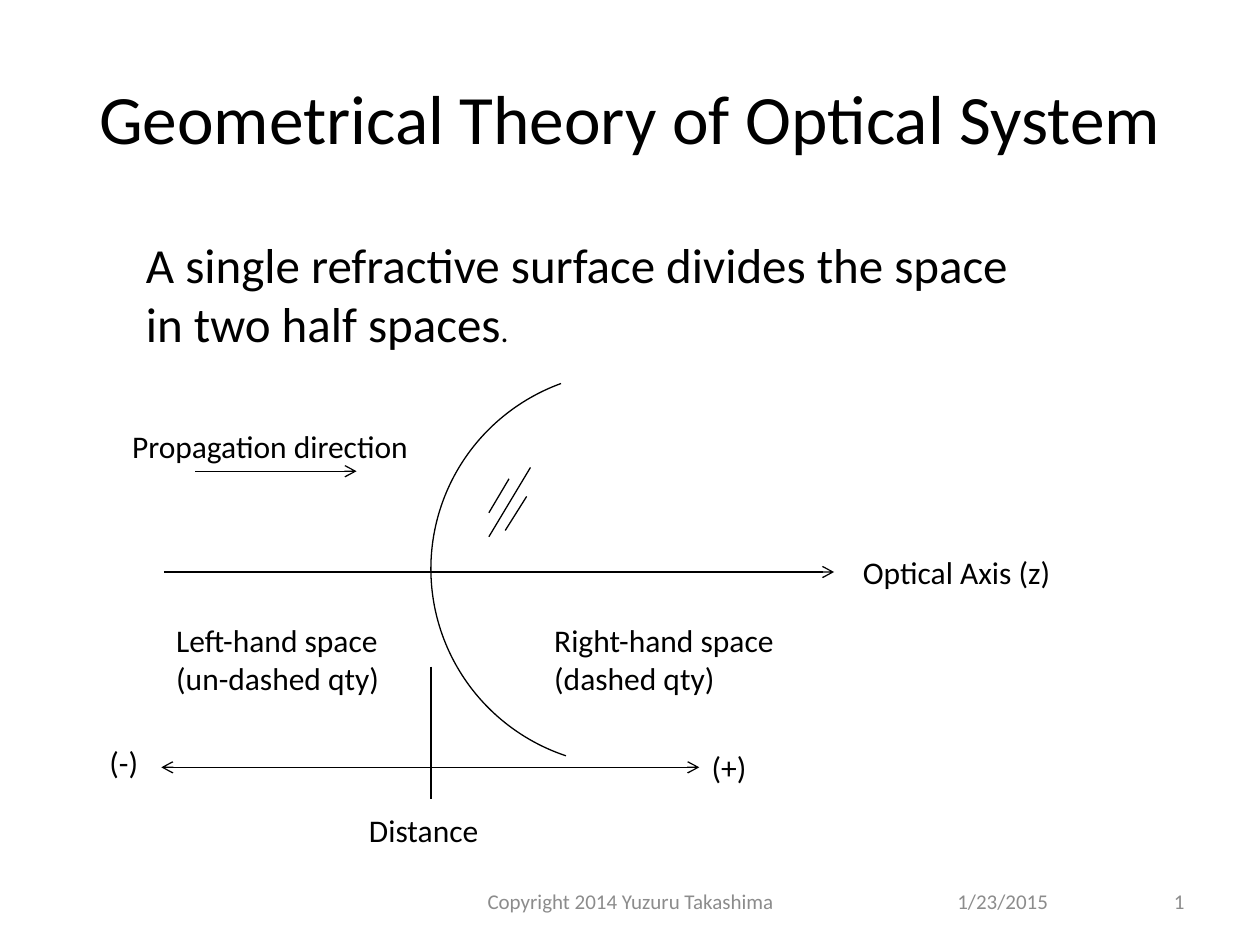
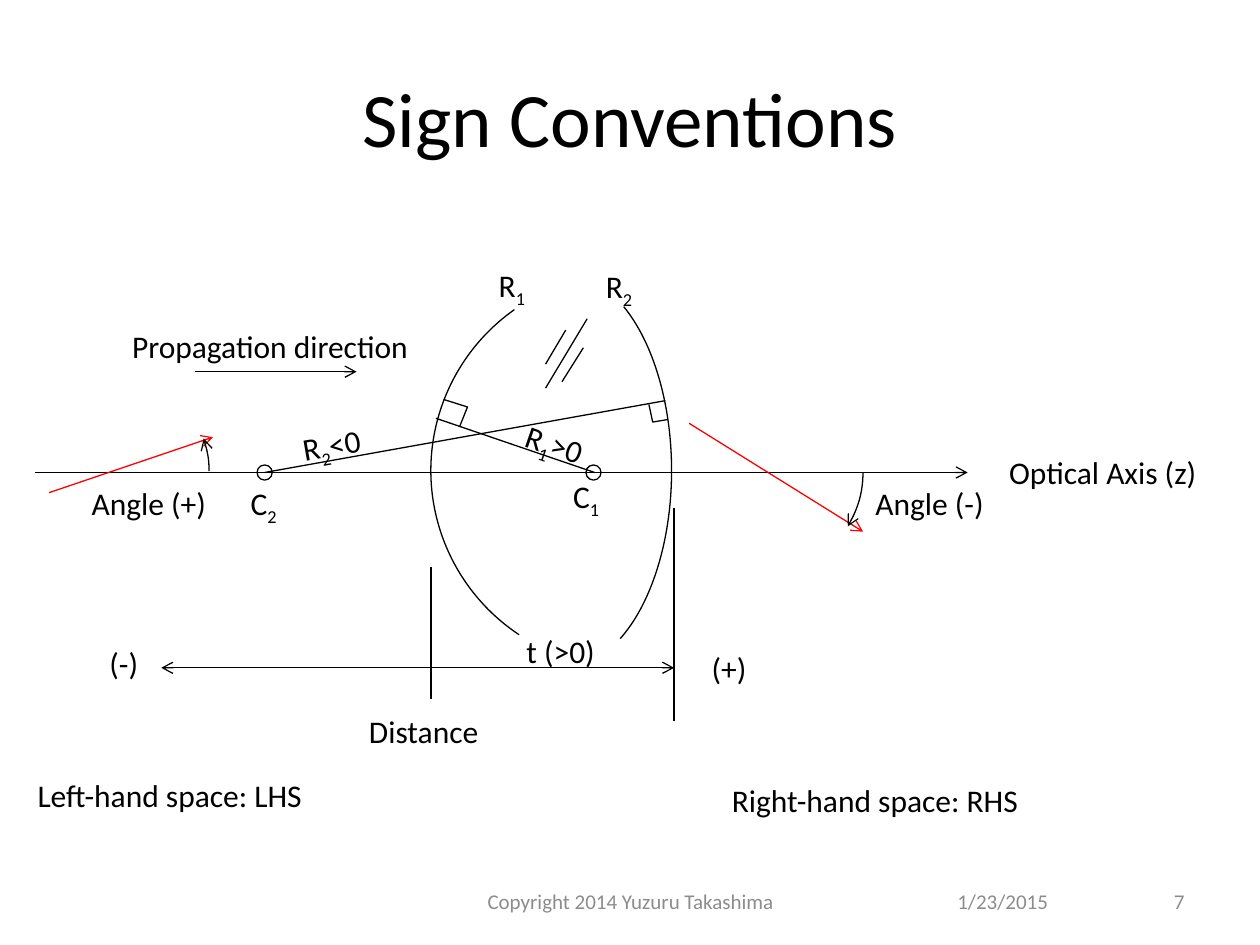
from pptx import Presentation
from pptx.dml.color import RGBColor
from pptx.enum.shapes import MSO_CONNECTOR as Connector, MSO_SHAPE as Preset
from pptx.enum.text import MSO_ANCHOR as Anchor, MSO_AUTO_SIZE as AutoSize, PP_ALIGN as Align
from pptx.oxml.ns import qn
from pptx.util import Pt
from lxml.etree import SubElement

PX = 9144
BLACK, RED, GRAY = "000000", "FF0000", "8C8C8C"
FONT = "Calibri"
VERTEX_X = 342


def px(*lengths):
    """Turn px lengths into EMU."""
    return [length * PX for length in lengths]


def rgb(code):
    """Turn a hex string into a colour."""
    return RGBColor.from_string(code)


def add_run(paragraph, words, size, color, subscript=False):
    """Append one formatted run to a paragraph."""
    run = paragraph.add_run()
    run.text = words
    run.font.name, run.font.size = FONT, Pt(size)
    run.font.color.rgb = rgb(color)
    if subscript:
        run.font._element.set("baseline", "-25000")


def add_text(slide, words, left, top, width, height=40, *, size=18, color=BLACK,
             align=Align.LEFT, anchor=Anchor.TOP, wrap=False, turn=0):
    """Add text; newlines split paragraphs and paired underscores enclose subscripts."""
    box = slide.shapes.add_textbox(*px(left, top, width, height))
    box.rotation = turn
    frame = box.text_frame
    frame.word_wrap, frame.vertical_anchor = wrap, anchor
    frame.auto_size = AutoSize.NONE if wrap else AutoSize.SHAPE_TO_FIT_TEXT
    for number, row in enumerate(words.split("\n")):
        paragraph = frame.add_paragraph() if number else frame.paragraphs[0]
        paragraph.alignment = align
        for order, piece in enumerate(row.split("_")):
            if piece:
                add_run(paragraph, piece, size, color, subscript=order % 2 == 1)
    return frame


def style_stroke(stroke, color=BLACK, arrow=False):
    """Give an outline its thin stroke, optional arrowhead and no shadow."""
    stroke.line.color.rgb = rgb(color)
    stroke.line.width = Pt(0.75)
    properties = stroke._element.spPr
    if arrow:
        SubElement(properties.find(qn("a:ln")), qn("a:tailEnd"), type="arrow")
    SubElement(properties, qn("a:effectLst"))


def add_line(slide, x1, y1, x2, y2, color=BLACK, arrow=False):
    """Draw a straight line or ray."""
    ray = slide.shapes.add_connector(Connector.STRAIGHT, *px(x1, y1, x2, y2))
    style_stroke(ray, color, arrow)


def add_outline(slide, preset, left, top, width, height, angles=(), flip=None, arrow=False):
    """Draw an unfilled preset, with arc angles in degrees."""
    curve = slide.shapes.add_shape(preset, *px(left, top, width, height))
    for index, degrees in enumerate(angles):
        curve.adjustments[index] = degrees * 0.6
    if flip:
        curve._element.spPr.find(qn("a:xfrm")).set(flip, "1")
    curve.fill.background()
    style_stroke(curve, arrow=arrow)


def add_right_angle(slide, start, corner, end):
    """Draw the open square corner that marks a normal."""
    builder = slide.shapes.build_freeform(*start, scale=PX)
    builder.add_line_segments([corner, end], close=False)
    mark = builder.convert_to_shape()
    mark.fill.background()
    style_stroke(mark)


def add_glass_marks(slide, left, top):
    """Draw the three slanted strokes that denote glass."""
    for x1, y1, x2, y2 in ((16, 9, 0, 36), (33, 0, 0, 55), (30, 23, 13, 50)):
        add_line(slide, left + x1, top + y1, left + x2, top + y2)


def add_frame(deck, title, page, title_size=44):
    """Start a slide with its title and footer."""
    slide = deck.slides.add_slide(deck.slide_layouts[6])
    add_text(slide, title, 50, 30, 900, 125, size=title_size,
             align=Align.CENTER, anchor=Anchor.MIDDLE, wrap=True)
    for words, left, width, align in (
            ("1/23/2015", 750, 233, Align.LEFT),
            ("Copyright 2014 Yuzuru Takashima", 342, 317, Align.CENTER),
            (page, 717, 233, Align.RIGHT)):
        add_text(slide, words, left, 695, width, size=12, color=GRAY,
                 align=align, anchor=Anchor.MIDDLE, wrap=True)
    return slide


def add_axis_diagram(slide, axis_y, axis_start, axis_end, label_x, plus_end):
    """Draw the optical axis, propagation arrow and signed distance scale."""
    add_line(slide, axis_start, axis_y, axis_end, axis_y, arrow=True)
    add_text(slide, "Optical Axis (z)", label_x, axis_y - 20, 188)
    add_line(slide, 155, axis_y - 80, 283, axis_y - 80, arrow=True)
    add_text(slide, "Propagation direction", 95, axis_y - 120, 266)
    add_line(slide, VERTEX_X, axis_y + 75, VERTEX_X, axis_y + 180)
    for end in (plus_end, 128):
        add_line(slide, VERTEX_X, axis_y + 155, end, axis_y + 155, arrow=True)
    add_text(slide, "(+)", 555, axis_y + 135, 52)
    add_text(slide, "(-)", 77, axis_y + 131, 45)
    add_text(slide, "Distance", 283, axis_y + 185, 118)


def build_theory(deck):
    """Build the slide on a single refractive surface."""
    slide = add_frame(deck, "Geometrical Theory of Optical System", "1", 39.6)
    statement = add_text(
        slide, "A single refractive surface divides the space\nin two half spaces",
        106, 181, 785, 135, size=28)
    add_run(statement.paragraphs[-1], ".", 18, BLACK)
    add_axis_diagram(slide, 454, 130, 662, 675, 555)
    add_outline(slide, Preset.ARC, VERTEX_X, 295, 314, 313, (108.55, 249.94))
    add_glass_marks(slide, 388, 371)
    add_text(slide, "Left-hand space\n(un-dashed qty)", 130, 488, 201, 71)
    add_text(slide, "Right-hand space\n(dashed qty)", 430, 488, 218, 71)


def build_signs(deck):
    """Build the slide on signs of radii, angles and thickness."""
    slide = add_frame(deck, "Sign Conventions", "7")
    add_axis_diagram(slide, 375, 28, 768, 791, 535)
    add_line(slide, 535, 403, 535, 572)

    add_outline(slide, Preset.ARC, VERTEX_X, 217, 314, 313, (123.73, 234.61))
    add_outline(slide, Preset.ARC, 362, 217, 171, 313, (108.55, 249.94), flip="flipH")
    add_glass_marks(slide, 433, 253)

    add_line(slide, 472, 375, 346, 332)
    add_line(slide, 528, 318, 210, 375)
    add_right_angle(slide, (515, 321), (518, 335), (530, 333))
    add_right_angle(slide, (352, 317), (371, 323), (365, 338))
    for center_left in (204, 465):
        add_outline(slide, Preset.OVAL, center_left, 369, 12, 12)

    for words, left, top, width, turn in (
            ("R_1_", 386, 206, 48, 0), ("R_2_", 471, 207, 48, 0),
            ("R_1_>0", 407, 334, 76, 19), ("R_2_<0", 230, 332, 76, -9.9),
            ("C_1_", 445, 374, 48, 0), ("C_2_", 189, 379, 48, 0),
            ("t (>0)", 408, 497, 80, 0),
            ("Angle (-)", 685, 379, 117, 0), ("Angle (+)", 63, 379, 123, 0),
            ("Left-hand space: LHS", 20, 611, 264, 0),
            ("Right-hand space: RHS", 571, 615, 285, 0)):
        add_text(slide, words, left, top, width, turn=turn)

    add_line(slide, 547, 336, 685, 422, RED, arrow=True)
    add_line(slide, 39, 391, 169, 347, RED, arrow=True)
    add_outline(slide, Preset.ARC, 539, 296, 146, 157, (0.34, 35.41), arrow=True)
    add_outline(slide, Preset.ARC, 20, 296, 146, 157, (0.34, 21.03), "flipV", arrow=True)


def main():
    """Build and save the deck."""
    deck = Presentation()
    deck.slide_width, deck.slide_height = px(1000, 750)
    build_theory(deck)
    build_signs(deck)
    deck.save("out.pptx")


if __name__ == "__main__":
    main()
